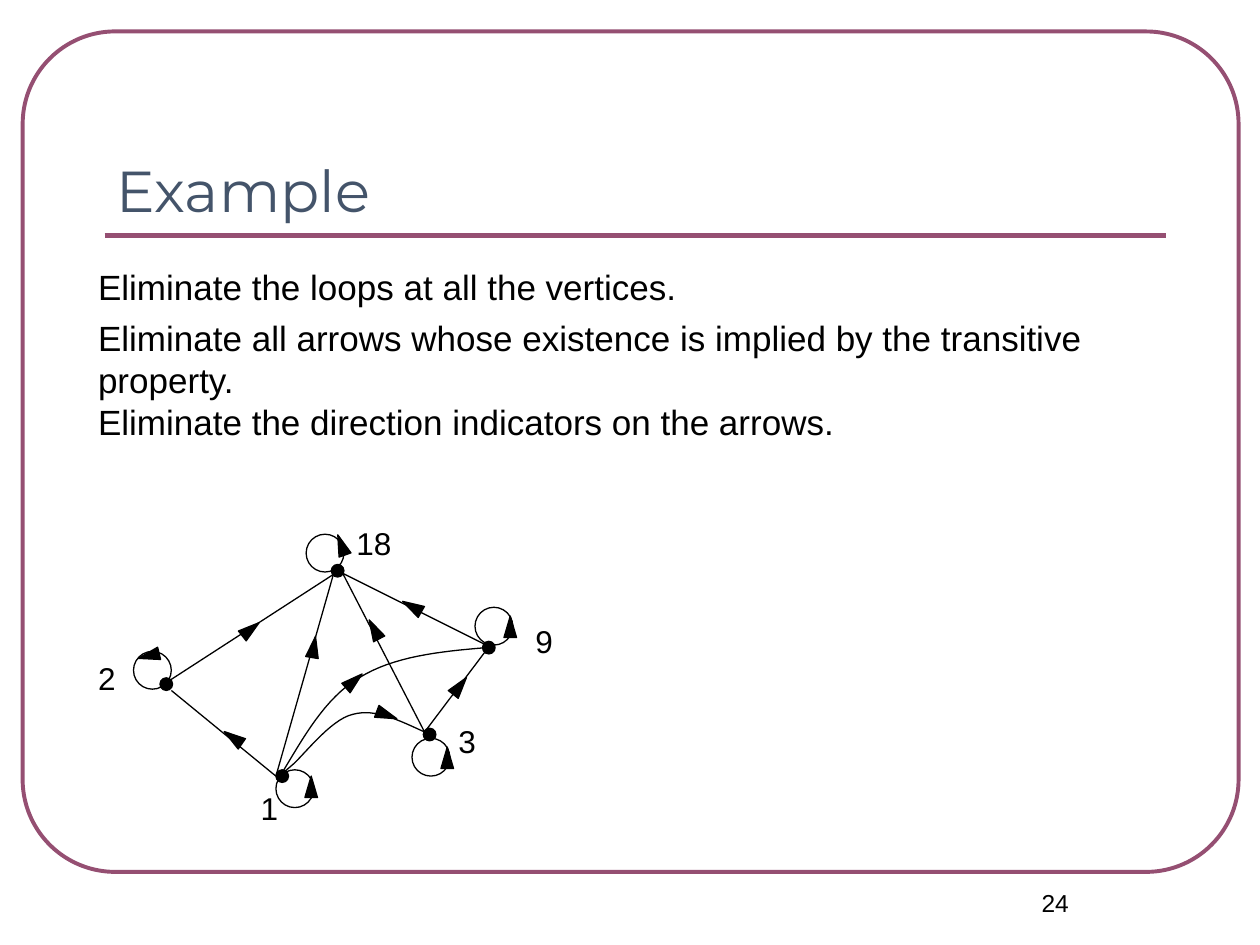
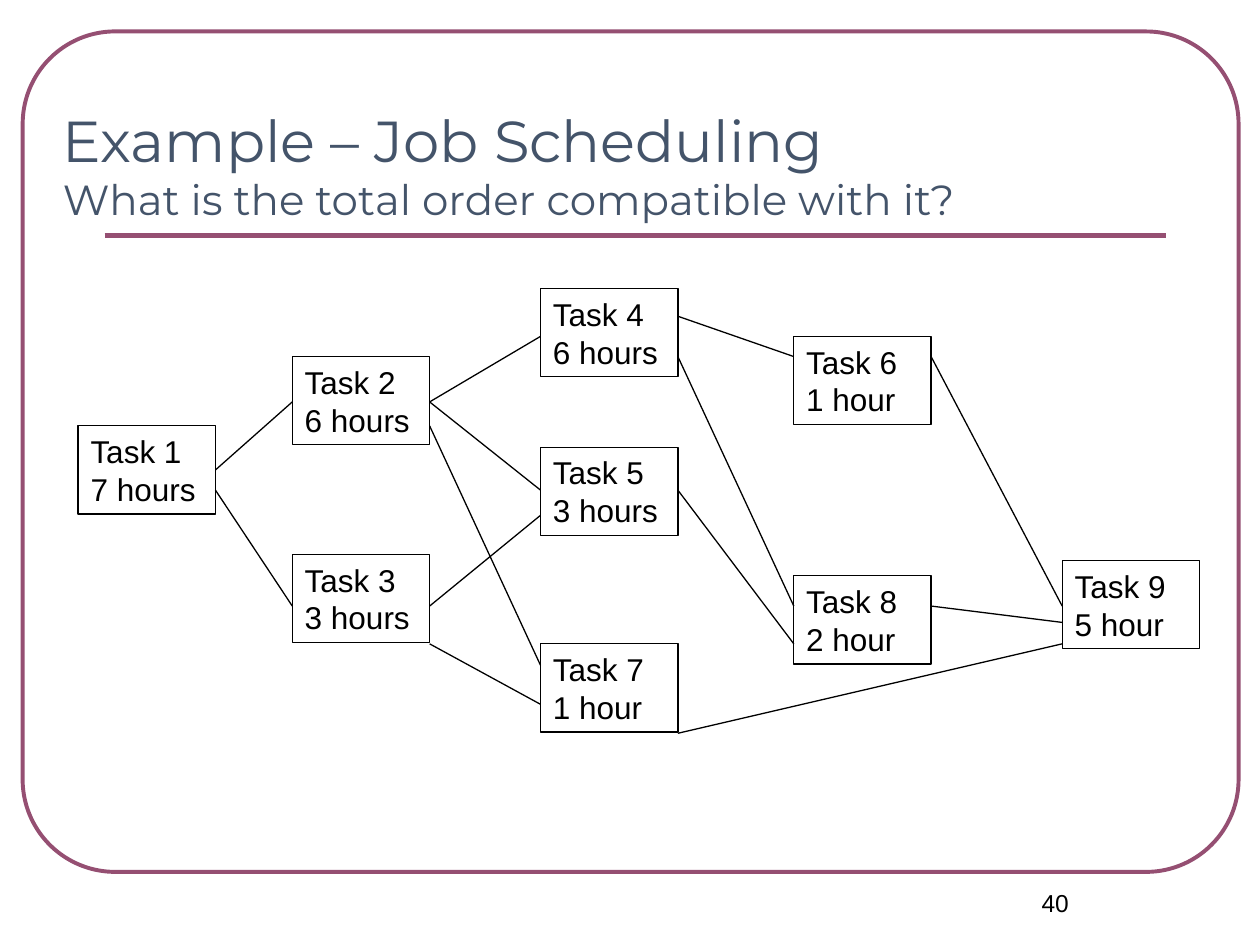
from dataclasses import dataclass

from lxml import etree
from pptx import Presentation
from pptx.dml.color import RGBColor
from pptx.enum.shapes import MSO_CONNECTOR, MSO_SHAPE as SHAPE
from pptx.enum.text import MSO_ANCHOR as ANCHOR, PP_ALIGN as ALIGN
from pptx.oxml.ns import qn
from pptx.util import Inches, Pt

# Shared style
BLACK, PLUM, SLATE = "000000", "954F72", "44546A"
BODY_FONT, TITLE_FONT = "Arial", "Montserrat"
THIN = 0.74

prs = Presentation()
prs.slide_width, prs.slide_height = Inches(10), Inches(7.5)

# Grid: 100 columns by 75 rows of square cells
CELL = prs.slide_width / 100
DOT, LOOP = 1, 3                # diameters
ARROW_W, ARROW_H = 1, 1.7
TASK_W, TASK_H = 10.9, 7
TASK_COLS = (6.2, 23.2, 42.9, 63, 84.3)

Point = tuple[float, float]


@dataclass
class Arrow:
    x: float
    y: float
    turn: float = 0


@dataclass
class Vertex:
    name: str
    dot: Point
    loop: Point
    arrow: Arrow
    label: Point
    label_w: float = 4.4


@dataclass
class Edge:
    points: list[Point]         # two ends, or a chain of cubic curves
    arrow: Arrow


@dataclass
class Task:
    hours: str
    col: int
    top: float

    @property
    def left(self) -> float:
        return TASK_COLS[self.col]


@dataclass
class Link:
    source: int
    target: int
    y_out: float
    y_in: float


def g(n: float) -> int:
    """Grid cells to EMU."""
    return round(n * CELL)


def rgb(value: str) -> RGBColor:
    return RGBColor.from_string(value)


def set_line(sp, color: str, width: float) -> None:
    sp.line.color.rgb = rgb(color)
    sp.line.width = Pt(width)


def add_shape(s, kind, x: float, y: float, w: float, h: float,
              fill: str | None = None, color: str = BLACK, width: float = THIN):
    sp = s.shapes.add_shape(kind, g(x), g(y), g(w), g(h))
    sp.shadow.inherit = False
    if fill:
        sp.fill.solid()
        sp.fill.fore_color.rgb = rgb(fill)
    else:
        sp.fill.background()
    set_line(sp, color, width)
    return sp


def add_line(s, start: Point, end: Point, color: str = BLACK, width: float = THIN) -> None:
    ends = [g(n) for n in (*start, *end)]
    c = s.shapes.add_connector(MSO_CONNECTOR.STRAIGHT, *ends)
    set_line(c, color, width)
    etree.SubElement(c._element.spPr, qn("a:effectLst"))


def add_curve(s, points: list[Point], steps: int = 16) -> None:
    """Draw chained cubic curves as a fine open outline."""
    path = []
    for i in range(0, len(points) - 1, 3):
        a, b, c, d = points[i:i + 4]
        for k in range(1, steps + 1):
            t = k / steps
            u = 1 - t
            path.append(tuple(
                g(u**3 * a[j] + 3 * u * u * t * b[j] + 3 * u * t * t * c[j] + t**3 * d[j])
                for j in (0, 1)))
    builder = s.shapes.build_freeform(g(points[0][0]), g(points[0][1]))
    builder.add_line_segments(path, close=False)
    sp = builder.convert_to_shape()
    sp.shadow.inherit = False
    sp.fill.background()
    set_line(sp, BLACK, THIN)


def add_arrow(s, a: Arrow) -> None:
    sp = add_shape(s, SHAPE.ISOSCELES_TRIANGLE, a.x, a.y, ARROW_W, ARROW_H, BLACK)
    sp.rotation = a.turn


def write(sp, text: str, size: float, font: str = BODY_FONT, color: str = BLACK,
          align=ALIGN.LEFT, anchor=ANCHOR.TOP):
    tf = sp.text_frame
    tf.word_wrap = True
    tf.vertical_anchor = anchor
    p = tf.paragraphs[0]
    p.text = text
    p.alignment = align
    p.font.name, p.font.size = font, Pt(size)
    p.font.color.rgb = rgb(color)
    return p


def add_text(s, x: float, y: float, w: float, h: float, text: str, size: float, **style):
    return write(s.shapes.add_textbox(g(x), g(y), g(w), g(h)), text, size, **style)


def new_slide(number: int, title: str, left: float, width: float, subtitle: str = ""):
    """Blank slide with the frame, title rule, page number and title."""
    s = prs.slides.add_slide(prs.slide_layouts[6])
    frame = add_shape(s, SHAPE.ROUNDED_RECTANGLE, 1.8, 2.5, 96.5, 66.7,
                      color=PLUM, width=2.24)
    frame.adjustments[0] = 0.11
    add_line(s, (8.3, 18.7), (92.5, 18.7), PLUM, 3)
    add_text(s, 75, 70, 17.5, 5, str(number), 14, align=ALIGN.CENTER)
    p = add_text(s, left, 5.8, width, 12.5, title, 33,
                 font=TITLE_FONT, color=SLATE, anchor=ANCHOR.BOTTOM)
    if subtitle:
        p.add_line_break()
        r = p.add_run()
        r.text = subtitle
        r.font.size = Pt(24)
    return s


# Slide 1: directed graph with loops
STEPS = [
    (20.6, 4.4, "Eliminate the loops at all the vertices."),
    (24.6, 7.7, "Eliminate all arrows whose existence is implied by the transitive property."),
    (31.3, 4.4, "Eliminate the direction indicators on the arrows."),
]
VERTICES = [
    Vertex("1", (21.9, 61.1), (21.9, 61.1), Arrow(24.2, 61.6), (19.7, 62.1)),
    Vertex("2", (12.7, 53.8), (10.6, 51.7), Arrow(11.3, 51.2, 256.4), (6.8, 51.8)),
    Vertex("3", (33.6, 57.8), (32.7, 58.6), Arrow(35, 59.3), (35.4, 56.8)),
    Vertex("9", (38.3, 50.9), (37.7, 48.2), Arrow(40, 48.9), (41.5, 48.9)),
    Vertex("18", (26.3, 44.8), (24.3, 42.4), Arrow(26.6, 42.4, 340.1), (27.3, 41.1), 5.9),
]
EDGES = [
    Edge([(21.9, 61.6), (13.6, 54.8)], Arrow(18, 57.7, 304.9)),
    Edge([(12.7, 54.5), (26.6, 45.5)], Arrow(19.4, 49.1, 51.8)),
    Edge([(38.6, 51.2), (27.2, 45.5)], Arrow(32.2, 47.3, 299.6)),
    Edge([(33.7, 58.1), (38.6, 51.6)], Arrow(36, 53.6, 38.1)),
    Edge([(21.9, 61.6), (26.6, 45.1)], Arrow(24.4, 50.5, 9.5)),
    Edge([(33.7, 58.1), (27.2, 45.5)], Arrow(29.2, 49.1, 332.4)),
    Edge([(22.5, 61.2), (22.3, 61.4), (22.2, 61.6), (23.1, 60.8), (24, 60.1),
          (26.2, 57.1), (28, 56.7), (29.8, 56.2), (31.7, 57.2), (33.7, 58.1)],
         Arrow(30.2, 55.9, 110.4)),
    Edge([(22.3, 61.5), (24.1, 58.5), (25.8, 55.4), (28.5, 53.8),
          (31.2, 52.1), (34.9, 51.7), (38.6, 51.4)], Arrow(27.6, 53.2, 48.9)),
]

s = new_slide(24, "Example", 8.3, 84.2)
for top, height, text in STEPS:
    add_text(s, 6.8, top, 85.7, height, text, 20)
for v in VERTICES:
    add_shape(s, SHAPE.OVAL, *v.dot, DOT, DOT, BLACK)
    add_shape(s, SHAPE.OVAL, *v.loop, LOOP, LOOP)
    add_arrow(s, v.arrow)
    add_text(s, *v.label, v.label_w, 4, v.name, 18)
for e in EDGES:
    if len(e.points) == 2:
        add_line(s, *e.points)
    else:
        add_curve(s, e.points)
    add_arrow(s, e.arrow)

# Slide 2: job scheduling network
TASKS = {
    1: Task("7 hours", 0, 33.8),
    2: Task("6 hours", 1, 28.3),
    3: Task("3 hours", 1, 44),
    4: Task("6 hours", 2, 22.9),
    5: Task("3 hours", 2, 35.5),
    6: Task("1 hour", 3, 26.7),
    7: Task("1 hour", 2, 51.1),
    8: Task("2 hour", 3, 45.7),
    9: Task("5 hour", 4, 44.5),
}
LINKS = [
    Link(1, 2, 37.3, 31.9), Link(1, 3, 38.9, 48.1),
    Link(2, 4, 31.9, 26.7), Link(2, 5, 31.9, 38.9), Link(2, 7, 33.8, 52.8),
    Link(3, 5, 48.1, 40.9), Link(3, 7, 51.1, 55.9),
    Link(4, 6, 25.1, 28.3), Link(4, 8, 28.3, 48.1), Link(5, 8, 38.9, 51.1),
    Link(6, 9, 28.3, 48.1), Link(8, 9, 48.1, 49.4), Link(7, 9, 58.2, 51.1),
]

s = new_slide(40, "Example – Job Scheduling", 4, 93.1,
              "What is the total order compatible with it?")
for number, task in TASKS.items():
    box = add_shape(s, SHAPE.RECTANGLE, task.left, task.top, TASK_W, TASK_H)
    write(box, f"Task {number}\v{task.hours}", 18)
for link in LINKS:
    add_line(s, (TASKS[link.source].left + TASK_W, link.y_out),
             (TASKS[link.target].left, link.y_in))

prs.save("out.pptx")
